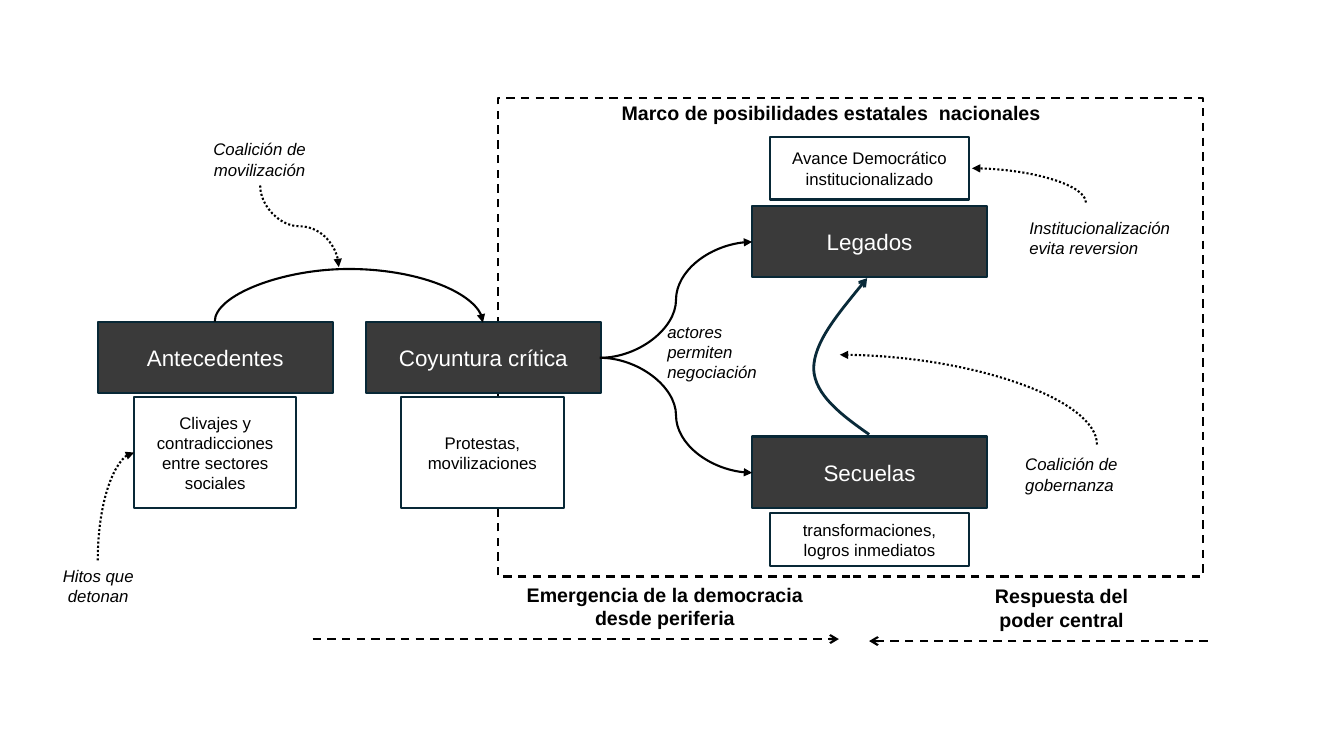
from dataclasses import dataclass

from lxml import etree
from pptx import Presentation
from pptx.dml.color import RGBColor
from pptx.enum.dml import MSO_LINE
from pptx.enum.shapes import MSO_CONNECTOR, MSO_SHAPE
from pptx.enum.text import MSO_ANCHOR, PP_ALIGN
from pptx.oxml.ns import qn
from pptx.util import Pt

PX = 9144  # EMU per px, 100 px to the inch
FONT = "Arial"
COLORS = {"ink": "000000", "paper": "FFFFFF", "stage": "3A3A3A",
          "border": "082836", "loop": "092A39"}
RECTANGLE = MSO_SHAPE.RECTANGLE
STRAIGHT, CURVE = MSO_CONNECTOR.STRAIGHT, MSO_CONNECTOR.CURVE
DASH, DOT = MSO_LINE.DASH, MSO_LINE.ROUND_DOT
LEFT, CENTER = PP_ALIGN.LEFT, PP_ALIGN.CENTER
MIDDLE = MSO_ANCHOR.MIDDLE

Point = tuple[int, int]
STAGE_SIZE = (233, 71)


@dataclass(frozen=True)
class Box:
    text: str
    at: Point
    size: Point
    fill: str = "paper"
    color: str = "ink"
    points: int = 12


@dataclass(frozen=True)
class Label:
    text: str
    at: Point
    size: Point
    align: PP_ALIGN = CENTER
    points: int = 12

    @property
    def is_heading(self) -> bool:
        return self.points > 12


@dataclass(frozen=True)
class Arrow:
    start: Point
    end: Point
    kind: MSO_CONNECTOR = CURVE
    dash: MSO_LINE | None = None
    head: str = "triangle"
    upright: bool = False  # leaves the start vertically
    preset: str = "curvedConnector3"
    bend: int | None = None  # thousandths of a percent


def stage(text: str, left: int, top: int) -> Box:
    return Box(text, (left, top), STAGE_SIZE, "stage", "paper", 16)


def hint(start: Point, end: Point, preset: str = "curvedConnector2") -> Arrow:
    return Arrow(start, end, dash=DOT, upright=True, preset=preset)


BOXES = [
    stage("Antecedentes", 97, 319),
    stage("Coyuntura crítica", 363, 319),
    stage("Secuelas", 746, 433),
    stage("Legados", 746, 204),
    Box("Clivajes y contradicciones entre sectores sociales", (133, 394), (161, 110)),
    Box("Protestas, movilizaciones", (398, 394), (161, 110)),
    Box("transformaciones, logros inmediatos", (764, 509), (197, 53)),
    Box("Avance Democrático institucionalizado", (764, 136), (197, 62)),
]

LABELS = [
    Label("actores permiten negociación", (652, 314), (134, 70), LEFT),
    Label("Institucionalización evita reversion", (1011, 206), (162, 59), LEFT),
    Label("Coalición de gobernanza", (1007, 441), (162, 59), LEFT),
    Label("Hitos que detonan", (41, 556), (113, 51)),
    Label("Coalición de movilización", (182, 133), (151, 50)),
    Label("Marco de posibilidades estatales  nacionales", (384, 95), (881, 33), points=14),
    Label("Emergencia de la democracia desde periferia", (497, 572), (325, 59), points=14),
    Label("Respuesta del poder central", (948, 576), (210, 54), points=14),
]

ARROWS = [
    # The 1 px drop gives the bend a base: 53 times that, upwards
    Arrow((213, 319), (479, 320), upright=True, bend=-5300000),
    Arrow((595, 355), (746, 240)),
    Arrow((595, 355), (746, 469)),
    Arrow((310, 634), (832, 634), STRAIGHT, DASH, "arrow"),
    Arrow((1198, 636), (862, 636), STRAIGHT, DASH, "arrow"),
    hint((97, 556), (133, 449)),
    hint((258, 184), (336, 265), "curvedConnector3"),
    hint((1077, 201), (964, 167)),
    hint((1088, 441), (833, 352)),
]

# Start point, then three points for each Bezier segment
LOOP = [(862, 431), (835, 412), (808, 392), (807, 366),
        (807, 340), (834, 308), (860, 276)]


def rgb(name: str) -> RGBColor:
    return RGBColor.from_string(COLORS[name])


def style_line(line, color: str, width: float = 1.5, dash=None, head: str = "") -> None:
    line.color.rgb = rgb(color)
    line.width = Pt(width)
    if dash is not None:
        line.dash_style = dash
    if head:
        etree.SubElement(line._get_or_add_ln(), qn("a:tailEnd"), type=head)


def write(shape, text: str, points: int, color: str, align: PP_ALIGN):
    frame = shape.text_frame
    frame.word_wrap = True
    frame.vertical_anchor = MIDDLE
    paragraph = frame.paragraphs[0]
    paragraph.text = text
    paragraph.alignment = align
    font = paragraph.font
    font.name, font.size = FONT, Pt(points)
    font.color.rgb = rgb(color)
    return font


def add_rectangle(shapes, at: Point, size: Point):
    rectangle = shapes.add_shape(RECTANGLE, *(v * PX for v in at + size))
    rectangle.shadow.inherit = False
    return rectangle


def draw_box(shapes, box: Box) -> None:
    rectangle = add_rectangle(shapes, box.at, box.size)
    rectangle.fill.solid()
    rectangle.fill.fore_color.rgb = rgb(box.fill)
    style_line(rectangle.line, "border")
    write(rectangle, box.text, box.points, box.color, CENTER)


def draw_label(shapes, label: Label) -> None:
    textbox = shapes.add_textbox(*(v * PX for v in label.at + label.size))
    font = write(textbox, label.text, label.points, "ink", label.align)
    font.bold = label.is_heading
    font.italic = not label.is_heading


def turn_upright(connector, arrow: Arrow) -> None:
    """Rotate a connector by 270 degrees so that it leaves vertically."""
    (x1, y1), (x2, y2) = arrow.start, arrow.end
    width, height = abs(y2 - y1), abs(x2 - x1)
    connector.left = (x1 + x2 - width) * PX // 2
    connector.top = (y1 + y2 - height) * PX // 2
    connector.width, connector.height = width * PX, height * PX
    xfrm = connector._element.spPr.find(qn("a:xfrm"))
    xfrm.set("rot", str(270 * 60000))
    xfrm.set("flipH", str(int(y2 > y1)))
    xfrm.set("flipV", str(int(x2 < x1)))


def draw_arrow(shapes, arrow: Arrow) -> None:
    connector = shapes.add_connector(
        arrow.kind, *(v * PX for v in arrow.start + arrow.end))
    properties = connector._element.spPr
    if arrow.upright:
        turn_upright(connector, arrow)
        geometry = properties.find(qn("a:prstGeom"))
        geometry.set("prst", arrow.preset)
        if arrow.bend is not None:
            guides = geometry.get_or_add_avLst()
            etree.SubElement(guides, qn("a:gd"), name="adj1", fmla=f"val {arrow.bend}")
    style_line(connector.line, "ink", dash=arrow.dash, head=arrow.head)
    etree.SubElement(properties, qn("a:effectLst"))


def draw_loop(shapes) -> None:
    builder = shapes.build_freeform(*LOOP[0], scale=PX)
    builder.add_line_segments(LOOP[1:], close=False)
    loop = builder.convert_to_shape()
    loop.shadow.inherit = False
    loop.fill.background()
    style_line(loop.line, "loop", 2, head="arrow")
    # Join every three line segments into one Bezier segment
    outline = next(loop._element.iter(qn("a:path")))
    segments = outline.findall(qn("a:lnTo"))
    for first in range(0, len(segments), 3):
        bezier = etree.SubElement(outline, qn("a:cubicBezTo"))
        for segment in segments[first:first + 3]:
            bezier.append(segment[0])
            outline.remove(segment)


def main() -> None:
    prs = Presentation()
    prs.slide_width, prs.slide_height = 1333 * PX, 750 * PX
    shapes = prs.slides.add_slide(prs.slide_layouts[6]).shapes

    # Dashed frame of national possibilities
    national_frame = add_rectangle(shapes, (494, 97), (699, 475))
    national_frame.fill.background()
    style_line(national_frame.line, "ink", dash=DASH)

    # Stages, labels and the arrows between them
    for box in BOXES:
        draw_box(shapes, box)
    for label in LABELS:
        draw_label(shapes, label)
    for arrow in ARROWS:
        draw_arrow(shapes, arrow)
    draw_loop(shapes)

    prs.save("out.pptx")


if __name__ == "__main__":
    main()
